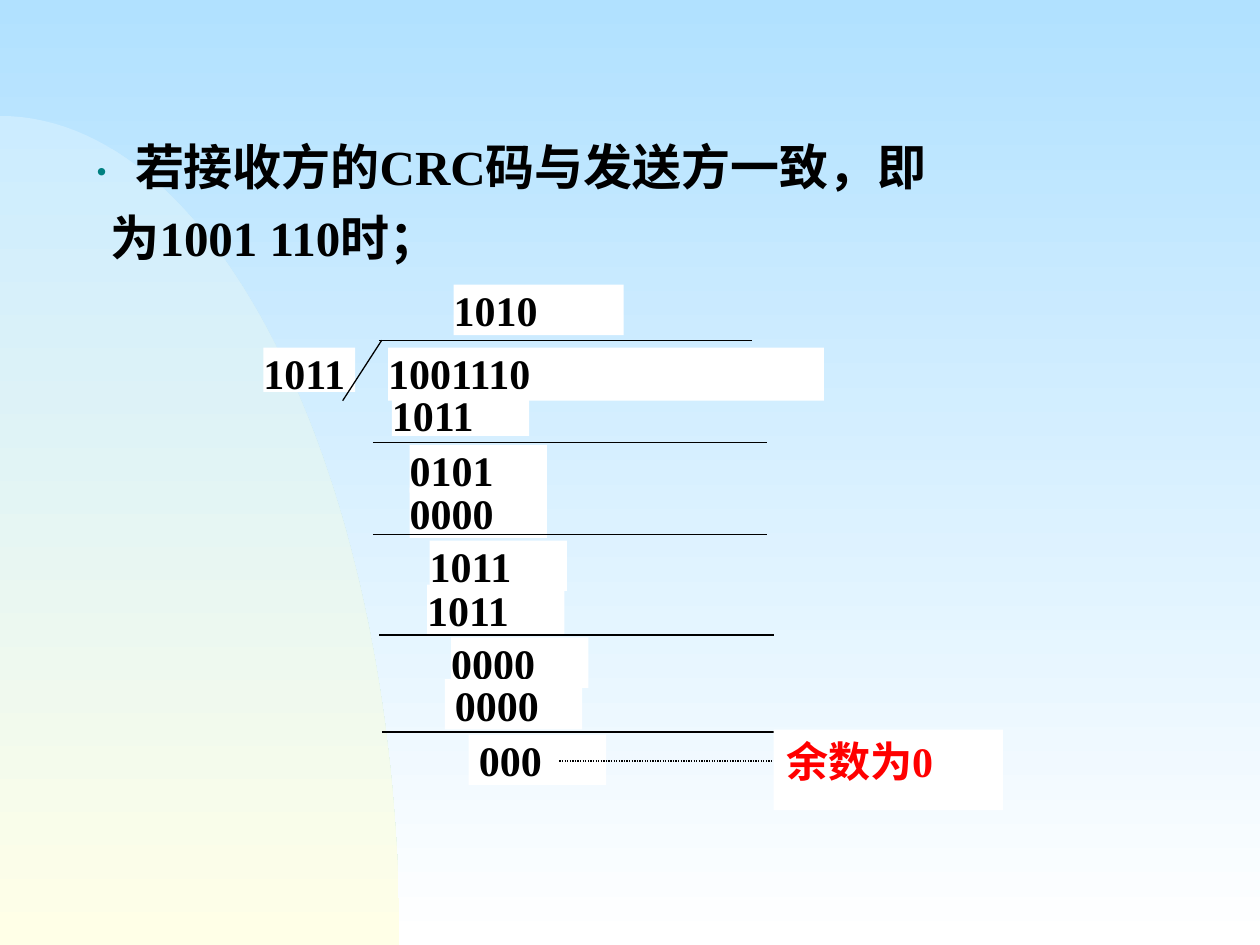
from lxml.etree import SubElement
from pptx import Presentation
from pptx.dml.color import RGBColor
from pptx.enum.dml import MSO_LINE
from pptx.enum.shapes import MSO_CONNECTOR, MSO_SHAPE
from pptx.enum.text import MSO_ANCHOR, MSO_AUTO_SIZE, PP_ALIGN
from pptx.oxml.ns import qn
from pptx.util import Inches, Pt

BLACK, RED, TEAL, WHITE = "000000", "FF0000", "008080", "FFFFFF"
SERIF = "Times New Roman"
SPACE = 0.08

DIGIT_BOXES = [
    ("1001110", 3.08, 2.76, 3.46, 0.42, 0),
    ("1010", 3.6, 2.26, 1.35, 0.4, 0),
    ("1011", 3.11, 3.09, 1.09, 0.37, 0),
    ("0101", 3.25, 3.53, 1.09, 0.38, 0),
    ("0000", 3.25, 3.87, 1.09, 0.4, 0),
    ("1011", 3.41, 4.29, 1.09, 0.4, 0),
    ("1011", 3.39, 4.64, 1.09, 0.4, 0),
    ("0000", 3.58, 5.06, 1.09, 0.4, 0),
    ("0000", 3.53, 5.39, 1.09, 0.4, SPACE),
    ("000", 3.72, 5.83, 1.09, 0.4, SPACE),
    ("1011", 2.09, 2.76, 0.73, 0.35, 0),
]
SUBTRACTION_RULES = [(2.96, 3.51), (2.96, 4.24), (3.01, 5.04), (3.03, 5.81)]
RULE_WIDTH = 3.13


def color(value):
    """Return the colour for a hex string."""
    return RGBColor.from_string(value)


def set_font(font, size, name, value, bold=True):
    """Apply size, typeface, colour and weight to a font."""
    font.size, font.name, font.bold = Pt(size), name, bold
    font.color.rgb = color(value)


def set_vertical_gradient(fill, top, bottom):
    """Fill with a two-colour gradient running downwards."""
    fill.gradient()
    fill.gradient_angle = 270
    for stop, value in zip(fill.gradient_stops, (top, bottom)):
        stop.color.rgb = color(value)


def add_corner_ellipse(slide, width, top, bottom, steps=60):
    """Add the quarter ellipse in the lower left corner."""
    corners = ((0, top), (width * 0.552, top),
               (width, bottom - (bottom - top) * 0.552), (width, bottom))
    points = []
    for step in range(steps + 1):
        t = step / steps
        weights = ((1 - t) ** 3, 3 * t * (1 - t) ** 2, 3 * t * t * (1 - t), t ** 3)
        points.append(tuple(
            Inches(sum(w * corner[axis] for w, corner in zip(weights, corners)))
            for axis in (0, 1)))
    builder = slide.shapes.build_freeform(*points[0])
    builder.add_line_segments(points[1:] + [(0, Inches(bottom))], close=True)
    shape = builder.convert_to_shape()
    shape.shadow.inherit = False
    shape.line.fill.background()
    set_vertical_gradient(shape.fill, "CCECFF", "FFFFE7")


def add_statement(slide):
    """Add the bulleted statement above the division."""
    box = slide.shapes.add_textbox(Inches(0.57), Inches(0.94), Inches(7.25), Inches(1.22))
    frame = box.text_frame
    frame.word_wrap = True
    frame.auto_size = MSO_AUTO_SIZE.SHAPE_TO_FIT_TEXT
    paragraph = frame.paragraphs[0]
    paragraph.line_spacing = 1.2
    properties = paragraph._p.get_or_add_pPr()
    properties.set("marL", str(Inches(0.21)))
    properties.set("indent", str(Inches(-0.21)))
    bullet = paragraph.add_run()
    bullet.text = "•  "
    set_font(bullet.font, 20, "Arial", TEAL, bold=False)
    statement = paragraph.add_run()
    statement.text = "若接收方的CRC码与发送方一致，即为1001 110时；"
    set_font(statement.font, 28, SERIF, BLACK)


def add_box(group, text, left, top, width, height, inset_x=0, inset_y=0, value=BLACK):
    """Add a white box with bold text at its top left."""
    shape = group.shapes.add_shape(
        MSO_SHAPE.RECTANGLE, Inches(left), Inches(top), Inches(width), Inches(height))
    shape.shadow.inherit = False
    shape.fill.solid()
    shape.fill.fore_color.rgb = color(WHITE)
    shape.line.fill.background()
    frame = shape.text_frame
    frame.word_wrap = True
    frame.vertical_anchor = MSO_ANCHOR.TOP
    frame.margin_left = frame.margin_right = Inches(inset_x)
    frame.margin_top = frame.margin_bottom = Inches(inset_y)
    paragraph = frame.paragraphs[0]
    paragraph.text = text
    paragraph.alignment = PP_ALIGN.LEFT
    set_font(paragraph.font, 24, SERIF, value)


def add_line(group, start_x, start_y, end_x, end_y, dash=None):
    """Add a thin black line."""
    line = group.shapes.add_connector(
        MSO_CONNECTOR.STRAIGHT, Inches(start_x), Inches(start_y), Inches(end_x), Inches(end_y))
    line.line.color.rgb = color(BLACK)
    line.line.width = Pt(0.75)
    if dash is not None:
        line.line.dash_style = dash
    SubElement(line._element.spPr, qn("a:effectLst"))


def add_division(slide):
    """Add the long division and its remainder."""
    group = slide.shapes.add_group_shape()
    for text, left, top, width, height, inset in DIGIT_BOXES:
        add_box(group, text, left, top, width, height, inset)
    add_line(group, 3.01, 2.7, 5.97, 2.7)
    add_line(group, 3.03, 2.7, 2.72, 3.18)
    for left, top in SUBTRACTION_RULES:
        add_line(group, left, top, left + RULE_WIDTH, top)
    add_line(group, 4.44, 6.04, 6.27, 6.04, MSO_LINE.ROUND_DOT)
    add_box(group, "余数为0", 6.14, 5.79, 1.82, 0.64, 0.1, 0.05, RED)


def main():
    """Build and save the slide."""
    presentation = Presentation()
    presentation.slide_width, presentation.slide_height = Inches(10), Inches(7.5)
    slide = presentation.slides.add_slide(presentation.slide_layouts[6])
    set_vertical_gradient(slide.background.fill, "B1E1FF", WHITE)
    add_corner_ellipse(slide, 3.17, 0.92, 7.5)
    add_statement(slide)
    add_division(slide)
    presentation.save("out.pptx")


if __name__ == "__main__":
    main()
